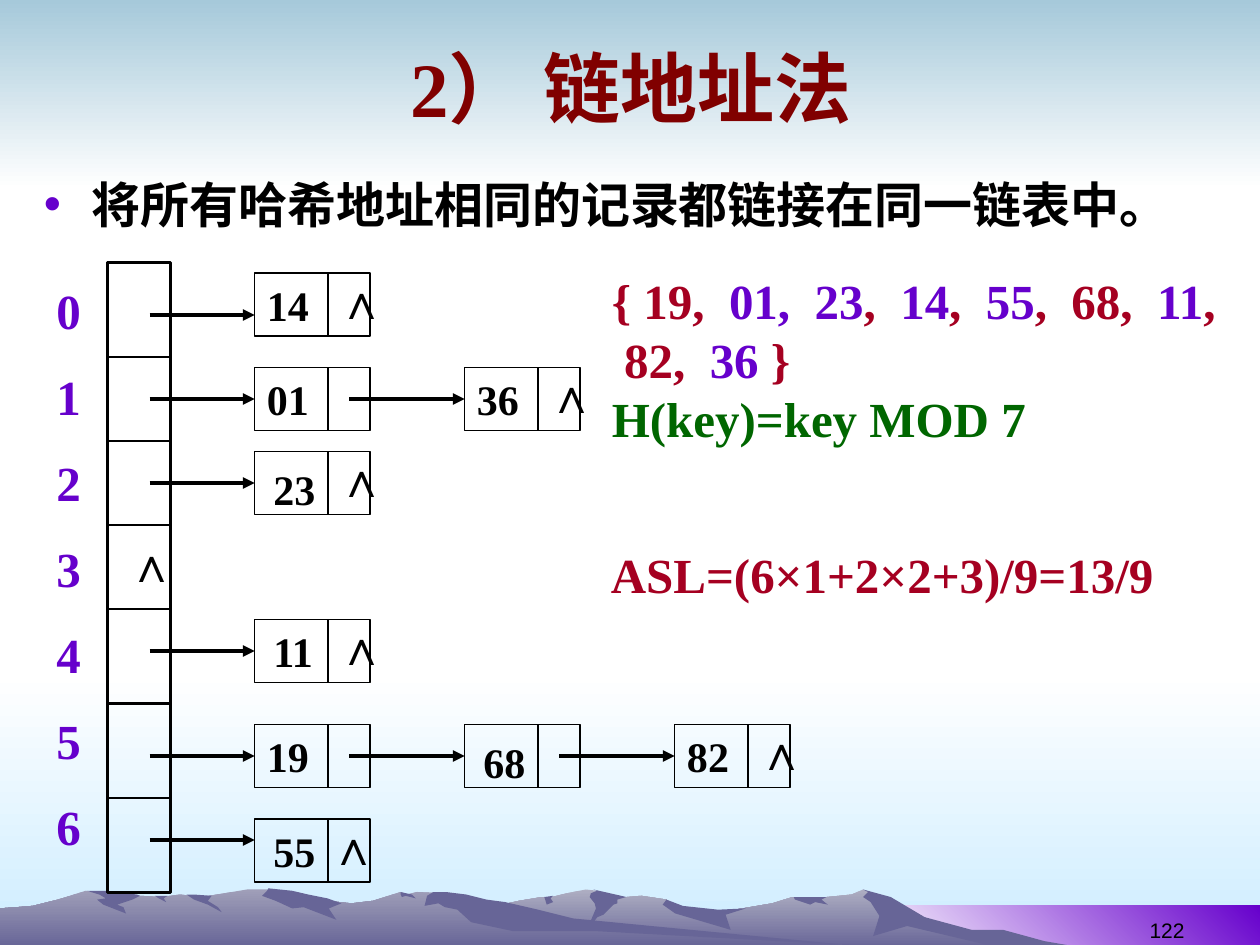
from pptx import Presentation
from pptx.dml.color import RGBColor
from pptx.enum.shapes import MSO_CONNECTOR, MSO_SHAPE
from pptx.enum.text import MSO_ANCHOR, MSO_AUTO_SIZE, PP_ALIGN
from pptx.oxml.ns import qn
from pptx.util import Inches, Pt
from lxml import etree

STRAIGHT, RECTANGLE = MSO_CONNECTOR.STRAIGHT, MSO_SHAPE.RECTANGLE
TOP, MIDDLE, BOTTOM = MSO_ANCHOR.TOP, MSO_ANCHOR.MIDDLE, MSO_ANCHOR.BOTTOM
LEFT, CENTER, RIGHT = PP_ALIGN.LEFT, PP_ALIGN.CENTER, PP_ALIGN.RIGHT
GROW, FIXED = MSO_AUTO_SIZE.SHAPE_TO_FIT_TEXT, MSO_AUTO_SIZE.NONE

BLACK = RGBColor(0x00, 0x00, 0x00)
WHITE = RGBColor(0xFF, 0xFF, 0xFF)
MAROON = RGBColor(0x80, 0x00, 0x00)
CRIMSON = RGBColor(0xA5, 0x00, 0x21)
PURPLE = RGBColor(0x66, 0x00, 0xCC)
GREEN = RGBColor(0x00, 0x66, 0x00)
SKY = RGBColor(0xA6, 0xC9, 0xDA)
PALE_BLUE = RGBColor(0xCC, 0xEC, 0xFF)
SLATE = RGBColor(0x67, 0x65, 0x97)
FAR_SLATE = RGBColor(0xAE, 0xAE, 0xC2)
NEAR_SLATE = RGBColor(0x9F, 0x9E, 0xB8)

CELL = Inches(1) // 12  # the page is a grid of 120 columns by 90 rows
NODE_WIDTH, NODE_HEIGHT, NODE_SPLIT = 11, 6, 7
NODE_COLUMNS = (24.25, 44.25, 64.25)
TABLE_LEFT, TABLE_TOP, TABLE_WIDTH, TABLE_HEIGHT = 10.25, 25, 6, 60

# Outlines in hundredths of an inch, as x, y pairs
FAR_RIDGE = (
    802, 746, 778, 740, 764, 738, 723, 725, 702, 712, 685, 706, 676, 710, 656, 712,
    629, 712, 613, 717, 566, 725, 536, 721, 529, 714, 509, 711, 486, 713, 474, 707,
    465, 706, 450, 709, 438, 712, 430, 712, 412, 715, 394, 719, 355, 725, 327, 731,
    277, 745, 258, 752, 821, 752)
NEAR_RIDGE = (
    690, 752, 667, 750, 432, 732, 354, 709, 331, 708, 323, 710, 318, 708, 296, 715,
    279, 717, 260, 715, 236, 717, 223, 708, 212, 706, 196, 706, 178, 709, 160, 712,
    143, 710, 128, 712, 111, 711, 94, 712, 68, 707, 56, 711, 46, 714, 26, 719,
    14, 720, 0, 721, 0, 752)
FAR_SHADOWS = (
    (796, 738, 771, 738, 734, 728, 707, 712, 685, 706, 689, 708, 685, 712, 691, 716,
     698, 727, 693, 743, 720, 735, 792, 752, 858, 752, 829, 747),
    (471, 706, 474, 707, 469, 709, 468, 712, 472, 717, 473, 721, 465, 740, 474, 728,
     479, 726, 487, 718, 490, 717, 490, 714, 497, 712, 493, 711),
    (529, 714, 526, 718, 536, 725, 580, 738, 576, 726, 592, 721, 570, 722, 542, 719),
    (650, 712, 630, 712, 631, 714, 643, 718, 647, 716, 657, 718, 652, 714, 656, 712),
    (433, 715, 432, 712, 439, 711, 437, 713, 439, 716, 434, 718),
)
NEAR_SHADOWS = (
    (212, 707, 208, 711, 219, 715, 232, 721, 241, 720, 267, 730, 261, 721, 271, 717,
     260, 713, 245, 710, 232, 707, 213, 705),
    (370, 710, 354, 708, 344, 708, 339, 711, 337, 719, 348, 717, 353, 720, 363, 722,
     374, 732, 407, 739, 472, 739, 690, 751, 683, 751, 455, 729, 427, 722, 401, 716,
     386, 714),
    (318, 710, 318, 708, 327, 710, 330, 713, 322, 711, 319, 712),
    (154, 710, 168, 711, 165, 715, 173, 720, 176, 724, 165, 718, 154, 714, 148, 710),
    (133, 711, 130, 713, 132, 716, 126, 713, 123, 711),
    (109, 710, 111, 711, 105, 714, 93, 718, 98, 720, 100, 725, 82, 718, 77, 714,
     84, 713, 79, 710, 69, 707, 83, 707, 94, 708),
)


def write(box, paragraphs, size=28, color=BLACK, font="Times New Roman", bold=True,
          align=LEFT, anchor=TOP, wrap=True, auto_size=FIXED, gap=0, bullet=None):
    """Fill box; a paragraph is a string or a list of (text, color) spans."""
    frame = box.text_frame
    frame.word_wrap, frame.auto_size, frame.vertical_anchor = wrap, auto_size, anchor
    for index, content in enumerate(paragraphs):
        para = frame.add_paragraph() if index else frame.paragraphs[0]
        para.alignment = align
        if index and gap:
            para.space_before = Pt(gap)
        if bullet:
            add_bullet(para, bullet)
        for text, span_color in [(content, color)] if isinstance(content, str) else content:
            span = para.add_run()
            span.text = text
            span.font.name, span.font.size, span.font.bold = font, Pt(size), bold
            span.font.color.rgb = span_color


def add_bullet(para, color):
    properties = para._p.get_or_add_pPr()
    properties.set("marL", str(Inches(0.38)))
    properties.set("indent", str(-Inches(0.38)))
    holder = etree.SubElement(properties, qn("a:buClr"))
    etree.SubElement(holder, qn("a:srgbClr")).set("val", str(color))
    etree.SubElement(properties, qn("a:buFont")).set("typeface", "Arial")
    etree.SubElement(properties, qn("a:buChar")).set("char", "•")


class Page:
    """A slide measured in grid cells, with one method per kind of element."""

    def __init__(self, slide):
        self.shapes = slide.shapes

    def paint(self, shape, colors, angle=90):
        """One color gives a plain fill, two a gradient turned clockwise by angle."""
        shape.shadow.inherit = False
        shape.line.fill.background()
        if len(colors) == 1:
            shape.fill.solid()
            shape.fill.fore_color.rgb = colors[0]
            return
        shape.fill.gradient()
        shape.fill.gradient_angle = 360 - angle
        for stop, color in zip(shape.fill.gradient_stops, colors):
            stop.color.rgb = color

    def rectangle(self, left, top, width, height):
        return self.shapes.add_shape(
            RECTANGLE, *(round(length * CELL) for length in (left, top, width, height)))

    def band(self, left, top, width, height, *colors, angle=90):
        self.paint(self.rectangle(left, top, width, height), colors, angle)

    def ridge(self, outline, *colors):
        points = list(zip(outline[::2], outline[1::2]))
        builder = self.shapes.build_freeform(*points[0], scale=Inches(0.01))
        builder.add_line_segments(points[1:], close=True)
        self.paint(builder.convert_to_shape(), colors)

    def text(self, left, top, width, height, *paragraphs, **style):
        box = self.shapes.add_textbox(
            *(round(length * CELL) for length in (left, top, width, height)))
        write(box, paragraphs, **style)

    def frame(self, left, top, width, height, weight):
        shape = self.rectangle(left, top, width, height)
        shape.shadow.inherit = False
        shape.fill.background()
        shape.line.color.rgb, shape.line.width = BLACK, Pt(weight)
        return shape

    def line(self, x1, y1, x2, y2, weight, arrow=False):
        line = self.shapes.add_connector(
            STRAIGHT, *(round(length * CELL) for length in (x1, y1, x2, y2)))
        line.line.color.rgb, line.line.width = BLACK, Pt(weight)
        if arrow:
            etree.SubElement(line.line._get_or_add_ln(), qn("a:tailEnd")).set("type", "triangle")
        etree.SubElement(line._element.spPr, qn("a:effectLst"))

    def null_mark(self, left, top):
        self.text(left, top, 5.3, 6.84, "∧", wrap=False, auto_size=GROW)

    def node(self, left, top, key, drop=None):
        """Draw a list node; drop sets its key in a box that far below the top."""
        box = self.frame(left, top, NODE_WIDTH, NODE_HEIGHT, 0.75)
        self.line(left + NODE_SPLIT, top, left + NODE_SPLIT, top + NODE_HEIGHT, 0.75)
        if drop is None:
            write(box, [key], size=24, anchor=MIDDLE, wrap=False)
        else:
            self.text(left + 0.6, top + drop, 6.4, 6, key, size=24, wrap=False, auto_size=GROW)

    def chain(self, top, arrow_row, nodes, null_shift=6.75):
        """Draw one bucket's linked list, an arrow leading into each node."""
        tail = TABLE_LEFT + 4
        for left, node in zip(NODE_COLUMNS, nodes):
            self.line(tail, arrow_row, left, arrow_row, 2.25, arrow=True)
            self.node(left, top, *node)
            tail = left + 9
        self.null_mark(left + null_shift, top - 0.85)


def main():
    deck = Presentation()
    deck.slide_width, deck.slide_height = 120 * CELL, 90 * CELL
    page = Page(deck.slides.add_slide(deck.slide_layouts[6]))

    page.band(0, 64, 120, 26, WHITE, PALE_BLUE)
    page.band(0, 0, 120, 18, SKY, WHITE)
    page.band(82, 86.25, 38, 3.75, WHITE, PURPLE, angle=315)
    for ridge, light, shadows in ((FAR_RIDGE, FAR_SLATE, FAR_SHADOWS),
                                  (NEAR_RIDGE, NEAR_SLATE, NEAR_SHADOWS)):
        page.ridge(ridge, light, SLATE)
        for shadow in shadows:
            page.ridge(shadow, SLATE)

    page.text(86, 84.4, 28, 6, "122", size=12, font="Arial", bold=False,
              align=RIGHT, anchor=BOTTOM)
    page.text(6.1, 1.6, 108, 13.4, "2） 链地址法", size=44, color=MAROON,
              align=CENTER, anchor=MIDDLE)
    page.text(3, 16, 113.4, 68, "将所有哈希地址相同的记录都链接在同一链表中。", bullet=PURPLE)

    page.chain(26, 30, [("14",)])
    page.chain(35, 38, [("01",), ("36",)])
    page.chain(43, 46, [("23", 0.6)])
    page.chain(59, 62, [("11", 0)])
    page.chain(69, 72, [("19",), ("68", 0.6), ("82",)])
    page.chain(78, 80, [("55", 0)], null_shift=6)

    page.frame(TABLE_LEFT, TABLE_TOP, TABLE_WIDTH, TABLE_HEIGHT, 1.5)
    for row in (34, 42, 50, 58, 67, 76):
        page.line(TABLE_LEFT, row, TABLE_LEFT + TABLE_WIDTH, row, 1.5)
    page.text(4.2, 26.1, 7, 57, *"0123456", color=PURPLE, gap=15.5)
    page.null_mark(11, 50.2)

    keys = [("{ 19,  ", CRIMSON), ("01,  23", PURPLE), (",  ", CRIMSON), ("14", PURPLE),
            (",  ", CRIMSON), ("55", PURPLE), (",  68,  ", CRIMSON), ("11", PURPLE),
            (",  82,  ", CRIMSON), ("36", PURPLE), (" }", CRIMSON)]
    page.text(57.1, 25.2, 60.5, 18, keys, "H(key)=key MOD 7", color=GREEN, auto_size=GROW)
    page.text(57, 51.25, 58.2, 6.84, "ASL=(6×1+2×2+3)/9=13/9", color=CRIMSON,
              wrap=False, auto_size=GROW)
    deck.save("out.pptx")


if __name__ == "__main__":
    main()
